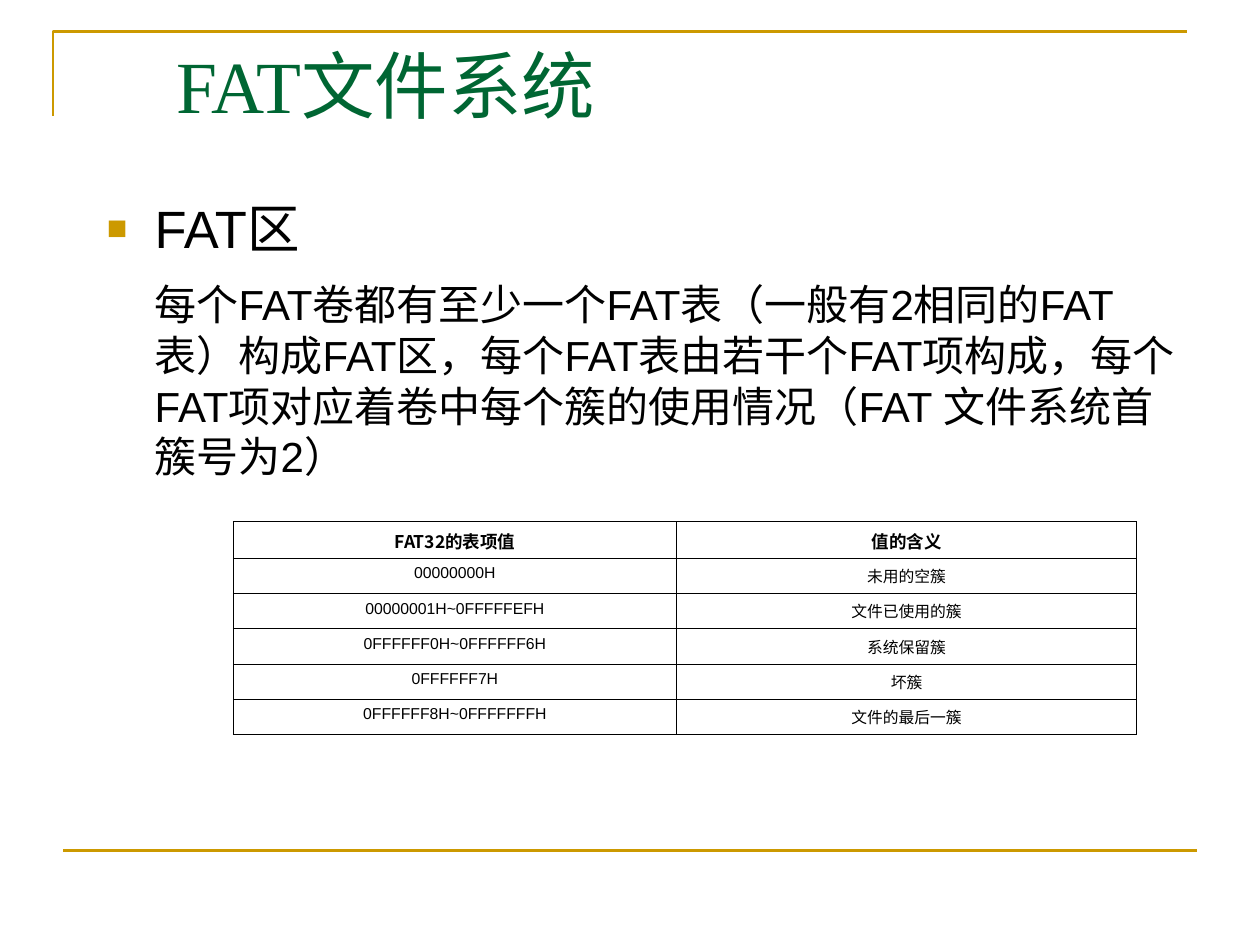
from pptx import Presentation
from pptx.dml.color import RGBColor as RGB
from pptx.enum.shapes import MSO_CONNECTOR as Connector
from pptx.enum.text import PP_ALIGN as Align
from pptx.oxml import parse_xml
from pptx.oxml.ns import nsdecls, qn
from pptx.util import Inches, Pt
from lxml.etree import SubElement

THEME = {
    "gold": "CC9900", "green": "006633", "black": "000000",
    "latin": "Arial", "serif": "Times New Roman", "cjk": "Noto Sans CJK SC",
    "title": 42, "heading": 30, "body": 24, "header": 10, "cell": 9,
    "rule": 1.5, "border": 0.45, "leading": 1.21,
}


def write(paragraph, text, size, face, color="black", bold=False):
    run = paragraph.add_run()
    run.text = text
    run.font.color.rgb = RGB.from_string(THEME[color])
    for key, value in {"size": Pt(THEME[size]), "name": THEME[face], "bold": bold}.items():
        setattr(run.font, key, value)
    SubElement(run._r.get_or_add_rPr(), qn("a:ea"), typeface=THEME["cjk"])


def text_frame(left, top, width, height, inset_top):
    frame = slide.shapes.add_textbox(Inches(left), Inches(top), Inches(width), Inches(height)).text_frame
    frame.word_wrap = True
    frame.margin_top = Inches(inset_top)
    return frame


prs = Presentation()
prs.slide_width, prs.slide_height = Inches(10), Inches(7.5)
slide = prs.slides.add_slide(prs.slide_layouts[6])

corner = slide.shapes.build_freeform(Inches(0.42), Inches(0.92))
corner.add_line_segments([(Inches(0.42), Inches(0.25)), (Inches(9.42), Inches(0.25))], close=False)
top_rule = corner.convert_to_shape()
top_rule.shadow.inherit = False
top_rule.fill.background()
bottom_rule = slide.shapes.add_connector(
    Connector.STRAIGHT, Inches(0.5), Inches(6.75), Inches(9.5), Inches(6.75))
SubElement(bottom_rule._element.spPr, qn("a:effectLst"))
for rule in (top_rule, bottom_rule):
    rule.line.color.rgb = RGB.from_string(THEME["gold"])
    rule.line.width = Pt(THEME["rule"])

title = text_frame(1.3, 0.21, 8.23, 1.1, 0.1).paragraphs[0]
title.line_spacing = Pt(THEME["title"] * THEME["leading"])
write(title, "FAT文件系统", "title", "serif", "green")

body = text_frame(0.75, 1.47, 8.7, 5.04, 0.08)
heading, explanation = body.paragraphs[0], body.add_paragraph()
for paragraph, indent, size, text in (
    (heading, -0.38, "heading", "FAT区"),
    (explanation, 0, "body",
     "每个FAT卷都有至少一个FAT表（一般有2相同的FAT表）构成FAT区，每个FAT表由若干个FAT项构成，"
     "每个FAT项对应着卷中每个簇的使用情况（FAT 文件系统首簇号为2）"),
):
    properties = paragraph._p.get_or_add_pPr()
    properties.set("marL", str(Inches(0.38)))
    properties.set("indent", str(Inches(indent)))
    paragraph.line_spacing = Pt(THEME[size] * THEME["leading"])
    write(paragraph, text, size, "latin")
explanation.space_before = Pt(11)

bullet = heading._p.get_or_add_pPr()
SubElement(SubElement(bullet, qn("a:buClr")), qn("a:srgbClr"), val=THEME["gold"])
SubElement(bullet, qn("a:buSzPct"), val="65000")
SubElement(bullet, qn("a:buFont"), typeface=THEME["latin"])
SubElement(bullet, qn("a:buChar"), char="■")

entries = [
    ("FAT32的表项值", "值的含义"),
    ("00000000H", "未用的空簇"),
    ("00000001H~0FFFFFEFH", "文件已使用的簇"),
    ("0FFFFFF0H~0FFFFFF6H", "系统保留簇"),
    ("0FFFFFF7H", "坏簇"),
    ("0FFFFFF8H~0FFFFFFFH", "文件的最后一簇"),
]
table = slide.shapes.add_table(
    len(entries), 2, Inches(1.85), Inches(4.14), Inches(7.17), Inches(1.69)).table
table.first_row = table.horz_banding = False
for column, width in zip(table.columns, (3.52, 3.65)):
    column.width = Inches(width)

for row_index, entry in enumerate(entries):
    is_header = row_index == 0
    table.rows[row_index].height = Inches(0.29 if is_header else 0.28)
    for column_index, text in enumerate(entry):
        cell = table.cell(row_index, column_index)
        paragraph = cell.text_frame.paragraphs[0]
        paragraph.alignment = Align.CENTER
        write(paragraph, text, "header" if is_header else "cell",
              "cjk" if is_header else "latin", bold=is_header)
        borders = cell._tc.get_or_add_tcPr()
        for side in ("lnL", "lnR", "lnT", "lnB"):
            borders.append(parse_xml(
                f'<a:{side} {nsdecls("a")} w="{Pt(THEME["border"])}"><a:solidFill>'
                f'<a:srgbClr val="{THEME["black"]}"/></a:solidFill></a:{side}>'))
        cell.fill.background()

prs.save("out.pptx")
